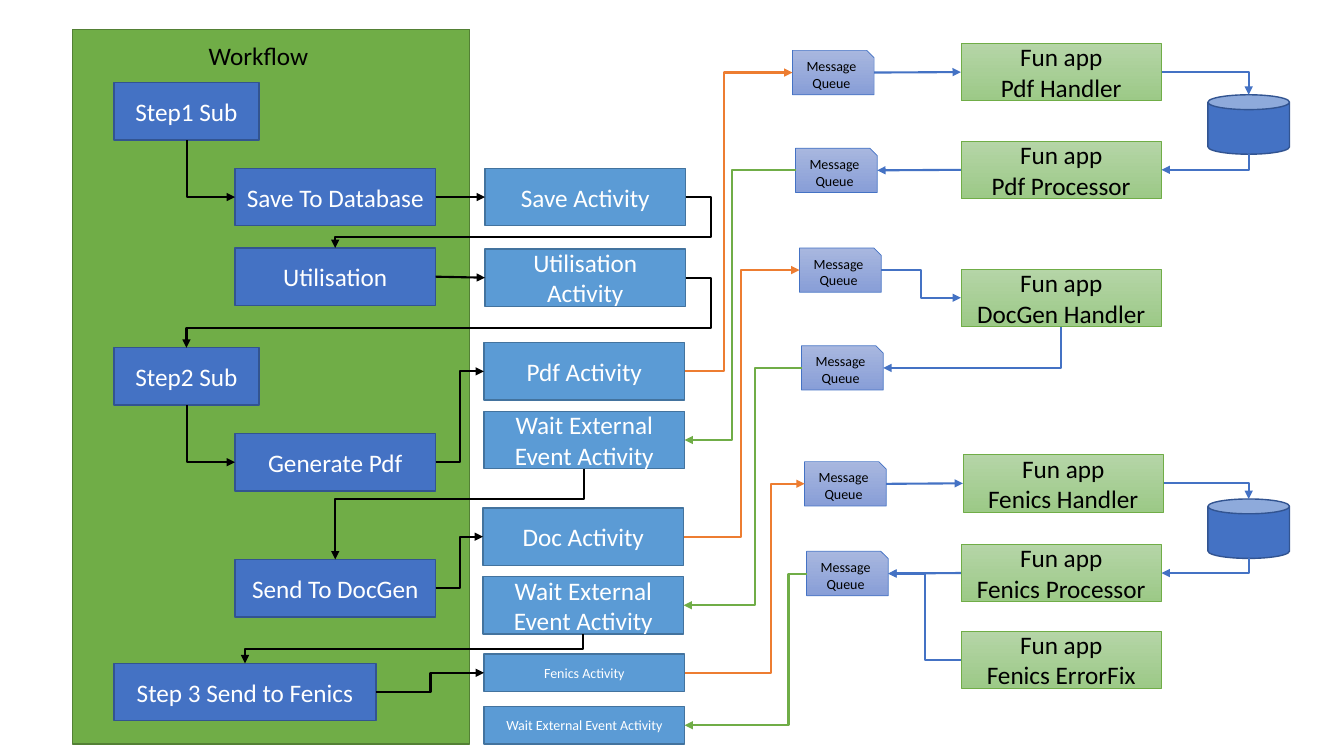
from dataclasses import dataclass

from lxml import etree
from pptx import Presentation
from pptx.dml.color import RGBColor
from pptx.enum.shapes import MSO_CONNECTOR, MSO_SHAPE
from pptx.enum.text import MSO_ANCHOR, MSO_AUTO_SIZE, PP_ALIGN
from pptx.oxml.ns import qn
from pptx.util import Inches, Pt

RECT, SNIP, CAN = MSO_SHAPE.RECTANGLE, MSO_SHAPE.SNIP_1_RECTANGLE, MSO_SHAPE.CAN
STRAIGHT, ELBOW = MSO_CONNECTOR.STRAIGHT, MSO_CONNECTOR.ELBOW
LEFT, CENTER = PP_ALIGN.LEFT, PP_ALIGN.CENTER
TOP, MIDDLE = MSO_ANCHOR.TOP, MSO_ANCHOR.MIDDLE
NO_FIT = MSO_AUTO_SIZE.NONE

# Connection site numbers: t(op), l(eft), b(ottom), r(ight)
SITES = {RECT: dict(t=0, l=1, b=2, r=3),
         SNIP: dict(r=0, b=1, l=2, t=3),
         CAN: dict(t=1, l=2, b=3)}


@dataclass(frozen=True)
class Theme:
    font: str = "Calibri"
    body: float = 18
    small: float = 10
    link_width: float = 1.5
    black: str = "000000"
    white: str = "FFFFFF"
    blue: str = "4472C4"
    orange: str = "ED7D31"
    green: str = "70AD47"


T = Theme()

# kind: preset, width, height, fill (two colours make a gradient), line, line width, text colour, size
KINDS = {
    "panel": (RECT, 3.94, 7.09, [T.green], "538035", 1, T.white, T.body),
    "sub": (RECT, 1.44, 0.57, [T.blue], "325491", 1, T.white, T.body),
    "step": (RECT, 1.99, 0.57, [T.blue], "325491", 1, T.white, T.body),
    "wide step": (RECT, 2.6, 0.57, [T.blue], "325491", 1, T.white, T.body),
    "activity": (RECT, 1.99, 0.57, ["5B9BD5"], "43739E", 1, T.white, T.body),
    "thin activity": (RECT, 1.99, 0.37, ["5B9BD5"], "43739E", 1, T.white, T.small),
    "queue": (SNIP, 0.81, 0.44, ["A8B7DF", "889ED7"], T.blue, 0.5, T.black, T.small),
    "app": (RECT, 1.99, 0.57, ["B5D5A7", "9CC987"], T.green, 0.5, T.black, T.body),
    "store": (CAN, 0.81, 0.59, [T.blue], "325491", 1, T.white, T.body),
}

# name, kind, left, top, text
NODES = [
    ("step1", "sub", 1.13, 0.82, "Step1 Sub"),
    ("save", "step", 2.33, 1.67, "Save To Database"),
    ("util", "step", 2.33, 2.46, "Utilisation"),
    ("step2", "sub", 1.13, 3.45, "Step2 Sub"),
    ("pdf", "step", 2.33, 4.3, "Generate Pdf"),
    ("doc", "step", 2.33, 5.55, "Send To DocGen"),
    ("step3", "wide step", 1.13, 6.58, "Step 3 Send to Fenics"),
    ("save act", "activity", 4.81, 1.67, "Save Activity"),
    ("util act", "activity", 4.81, 2.47, "Utilisation Activity"),
    ("pdf act", "activity", 4.8, 3.4, "Pdf Activity"),
    ("pdf wait", "activity", 4.8, 4.08, "Wait External Event Activity"),
    ("doc act", "activity", 4.79, 5.04, "Doc Activity"),
    ("doc wait", "activity", 4.79, 5.72, "Wait External Event Activity"),
    ("fen act", "thin activity", 4.8, 6.49, "Fenics Activity"),
    ("fen wait", "thin activity", 4.8, 7.01, "Wait External Event Activity"),
    ("pdf in", "queue", 7.86, 0.5, "Message Queue"),
    ("pdf out", "queue", 7.89, 1.47, "Message Queue"),
    ("doc in", "queue", 7.93, 2.46, "Message Queue"),
    ("doc out", "queue", 7.95, 3.43, "Message Queue"),
    ("fen in", "queue", 7.98, 4.58, "Message Queue"),
    ("fen out", "queue", 8, 5.47, "Message Queue"),
    ("pdf handler", "app", 9.53, 0.43, "Fun app\nPdf Handler"),
    ("pdf processor", "app", 9.53, 1.4, "Fun app\nPdf Processor"),
    ("doc handler", "app", 9.53, 2.67, "Fun app\nDocGen Handler"),
    ("fen handler", "app", 9.55, 4.51, "Fun app\nFenics Handler"),
    ("fen processor", "app", 9.53, 5.4, "Fun app\nFenics Processor"),
    ("fen fix", "app", 9.53, 6.26, "Fun app\nFenics ErrorFix"),
    ("pdf store", "store", 11.98, 0.94, ""),
    ("fen store", "store", 11.98, 4.95, ""),
]

# colour, then: start, side, end, side, bends, positions of the adjustable bends
LINKS = {
    T.black: [
        ("step1", "b", "save", "l", 1), ("step2", "b", "pdf", "l", 1),
        ("save", "r", "save act", "l", 0), ("util", "r", "util act", "l", 0),
        ("save act", "r", "util", "t", 3, 7.05, 2.35),
        ("util act", "r", "step2", "t", 3, 7.05, 3.25),
        ("pdf", "r", "pdf act", "l", 2, 4.56), ("doc", "r", "doc act", "l", 2, 4.56),
        ("pdf wait", "b", "doc", "t", 2, 4.95), ("doc wait", "b", "step3", "t", 2, 6.44),
        ("step3", "r", "fen act", "l", 2, 4.27),
    ],
    T.orange: [
        ("pdf act", "r", "pdf in", "l", 2, 7.18), ("doc act", "r", "doc in", "l", 2, 7.35),
        ("fen act", "r", "fen in", "l", 2, 7.65),
    ],
    T.green: [
        ("pdf out", "l", "pdf wait", "r", 2, 7.26), ("doc out", "l", "doc wait", "r", 2, 7.49),
        ("fen out", "l", "fen wait", "r", 2, 7.82),
    ],
    T.blue: [
        ("pdf in", "r", "pdf handler", "l", 0), ("pdf handler", "r", "pdf store", "t", 1),
        ("pdf store", "b", "pdf processor", "r", 1), ("pdf processor", "l", "pdf out", "r", 0),
        ("doc in", "r", "doc handler", "l", 2, 9.13), ("doc handler", "b", "doc out", "r", 1),
        ("fen in", "r", "fen handler", "l", 0), ("fen handler", "r", "fen store", "t", 1),
        ("fen store", "b", "fen processor", "r", 1), ("fen processor", "l", "fen out", "r", 0),
        ("fen fix", "l", "fen out", "r", 2, 9.17),
    ],
}


def rgb(value):
    return RGBColor.from_string(value)


def assign(obj, values):
    for name, value in values.items():
        setattr(obj, name, value)


def site_point(sp, side):
    x = {"l": 0, "r": 1}.get(side, 0.5)
    y = {"t": 0, "b": 1}.get(side, 0.5)
    return int(sp.left + x * sp.width), int(sp.top + y * sp.height)


class Board:
    def __init__(self, prs, theme):
        self.theme = theme
        self.slide = prs.slides.add_slide(prs.slide_layouts[5])
        self.shapes = self.slide.shapes

    def set_text(self, tf, text, size, color, align):
        tf.text = text
        for p in tf.paragraphs:
            p.alignment = align
            assign(p.font, {"name": self.theme.font, "size": Pt(size), "bold": False})
            p.font.color.rgb = rgb(color)

    def title(self, text, x, y, w, h):
        sp = self.shapes.title
        assign(sp, {"left": Inches(x), "top": Inches(y), "width": Inches(w), "height": Inches(h)})
        tf = sp.text_frame
        assign(tf, {"word_wrap": False, "vertical_anchor": TOP, "auto_size": NO_FIT})
        self.set_text(tf, text, self.theme.body, self.theme.black, LEFT)
        self.shapes._spTree.append(sp._element)  # bring in front of the panel

    def node(self, kind, x, y, text=""):
        preset, w, h, fills, line, weight, color, size = KINDS[kind]
        sp = self.shapes.add_shape(preset, Inches(x), Inches(y), Inches(w), Inches(h))
        sp.shadow.inherit = False
        if len(fills) == 1:
            sp.fill.solid()
            sp.fill.fore_color.rgb = rgb(fills[0])
        else:
            sp.fill.gradient()
            sp.fill.gradient_angle = 270
            for stop, fill in zip(sp.fill.gradient_stops, fills):
                stop.color.rgb = rgb(fill)
        sp.line.color.rgb = rgb(line)
        sp.line.width = Pt(weight)
        if text:
            assign(sp.text_frame, {"word_wrap": True, "vertical_anchor": MIDDLE})
            self.set_text(sp.text_frame, text, size, color, CENTER)
        return sp

    def link(self, color, start, side1, end, side2, bends, *stops):
        (x1, y1), (x2, y2) = site_point(start, side1), site_point(end, side2)
        cx = self.shapes.add_connector(ELBOW if bends else STRAIGHT, x1, y1, x2, y2)
        cx.begin_connect(start, SITES[start.auto_shape_type][side1])
        cx.end_connect(end, SITES[end.auto_shape_type][side2])
        cx.line.color.rgb = rgb(color)
        cx.line.width = Pt(self.theme.link_width)

        # Turn the preset so that its first leg leaves the chosen side
        w, h = abs(x2 - x1), abs(y2 - y1)
        turn, flip_h, flip_v = 0, x2 < x1, y2 < y1
        if side1 == "b":
            w, h = h, w
            turn, flip_h, flip_v = (90, False, False) if x2 < x1 else (270, True, False)
        elif bends == 2 and x2 < x1:
            turn, flip_h, flip_v = 180, False, y2 > y1
        assign(cx, {"left": (x1 + x2 - w) // 2, "top": (y1 + y2 - h) // 2, "width": w, "height": h})
        sp_pr = cx._element.spPr
        xfrm = sp_pr.find(qn("a:xfrm"))
        for name, value in (("rot", turn * 60000), ("flipH", int(flip_h)), ("flipV", int(flip_v))):
            xfrm.set(name, str(value))

        # Place the adjustable bends
        if bends:
            geom = sp_pr.find(qn("a:prstGeom"))
            geom.set("prst", f"bentConnector{bends + 1}")
            guides = geom.find(qn("a:avLst"))
            spans = [(x1, x2), (y1, y2)]
            if side1 == "b":
                spans.reverse()
            for i, (stop, (a, b)) in enumerate(zip(stops, spans), 1):
                ratio = round((Inches(stop) - a) / (b - a) * 100000)
                etree.SubElement(guides, qn("a:gd"), name=f"adj{i}", fmla=f"val {ratio}")

        # Arrowhead, no shadow
        etree.SubElement(sp_pr.find(qn("a:ln")), qn("a:tailEnd"), type="triangle")
        etree.SubElement(sp_pr, qn("a:effectLst"))


def main():
    prs = Presentation()
    assign(prs, {"slide_width": Inches(13.33), "slide_height": Inches(7.5)})
    board = Board(prs, T)

    # Workflow panel
    board.node("panel", 0.72, 0.29)
    board.title("Workflow", 1.97, 0.35, 1.2, 0.4)

    # Boxes and the arrows between them
    nodes = {name: board.node(*rest) for name, *rest in NODES}
    for color, links in LINKS.items():
        for start, side1, end, side2, *route in links:
            board.link(color, nodes[start], side1, nodes[end], side2, *route)

    prs.save("out.pptx")


if __name__ == "__main__":
    main()
